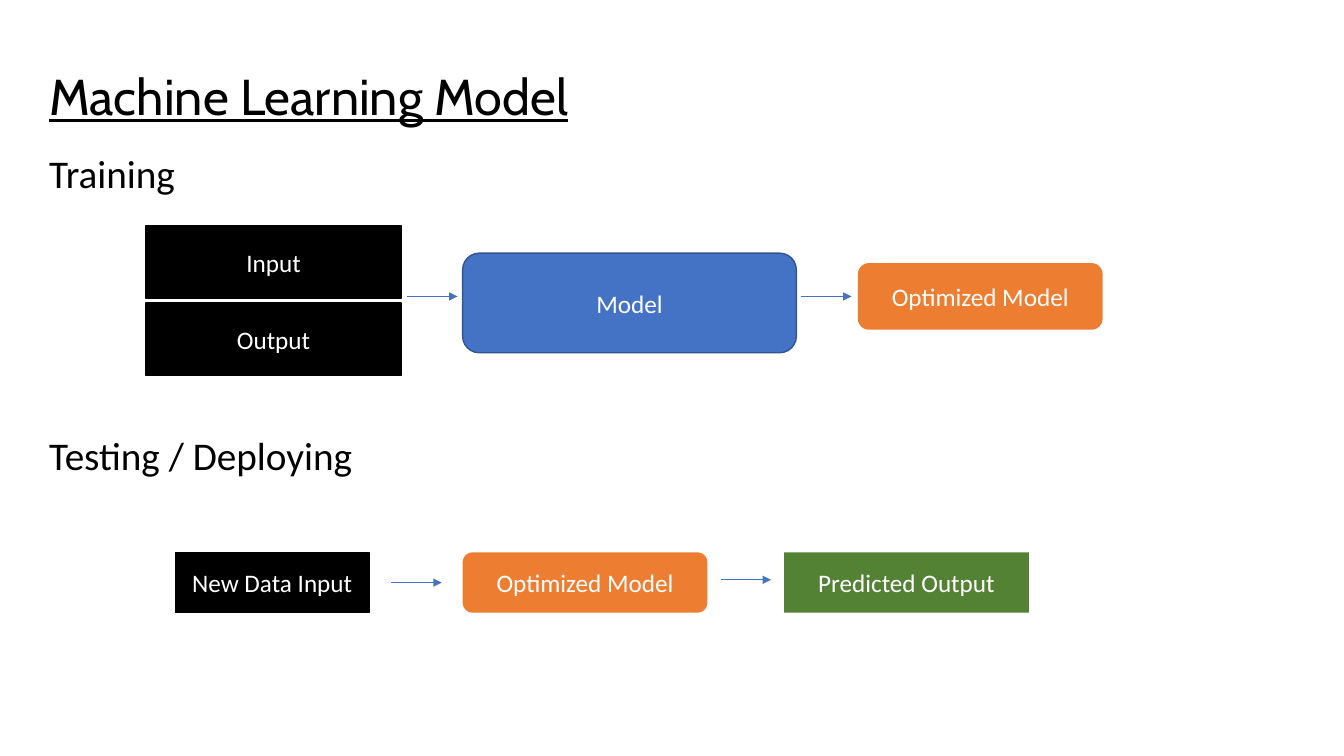
from dataclasses import dataclass

from lxml.etree import SubElement
from pptx import Presentation
from pptx.dml.color import RGBColor
from pptx.enum.shapes import MSO_CONNECTOR, MSO_SHAPE
from pptx.enum.text import MSO_ANCHOR, PP_ALIGN
from pptx.oxml.ns import qn
from pptx.util import Cm, Pt


@dataclass(frozen=True)
class Theme:
    black: str = "000000"
    white: str = "FFFFFF"
    blue: str = "4472C4"
    blue_edge: str = "325491"
    orange: str = "ED7D31"
    green: str = "548235"
    title_font: str = "Cabin"
    body_font: str = "Calibri"
    title_size: int = 36
    heading_size: int = 28
    label_size: int = 18


@dataclass(frozen=True)
class Box:
    left: float
    top: float
    width: float
    height: float

    def inside(self, left, top, width, height):
        return Box(self.left + left, self.top + top, width, height)

    def lengths(self):
        return Cm(self.left), Cm(self.top), Cm(self.width), Cm(self.height)


THEME = Theme()
ARROW_LENGTH = 1.27


def write_text(sp, text, *, size, font=THEME.body_font, color=THEME.black,
               align=PP_ALIGN.LEFT, anchor=MSO_ANCHOR.MIDDLE,
               underline=None, line_spacing=None):
    tf = sp.text_frame
    tf.word_wrap = True
    tf.vertical_anchor = anchor
    p = tf.paragraphs[0]
    p.alignment = align
    p.line_spacing = line_spacing
    r = p.add_run()
    r.text = text
    r.font.name = font
    r.font.size = Pt(size)
    r.font.underline = underline
    r.font.color.rgb = RGBColor.from_string(color)


def add_node(s, box, text, fill, edge=None, kind=MSO_SHAPE.RECTANGLE):
    sp = s.shapes.add_shape(kind, *box.lengths())
    sp.shadow.inherit = False
    sp.fill.solid()
    sp.fill.fore_color.rgb = RGBColor.from_string(fill)
    if edge:
        sp.line.color.rgb = RGBColor.from_string(edge)
        sp.line.width = Pt(1)
    else:
        sp.line.fill.background()
    write_text(sp, text, size=THEME.label_size, color=THEME.white,
               align=PP_ALIGN.CENTER)


def add_arrow(s, box, left, top):
    x, y = box.left + left, box.top + top
    arrow = s.shapes.add_connector(MSO_CONNECTOR.STRAIGHT, Cm(x), Cm(y),
                                   Cm(x + ARROW_LENGTH), Cm(y))
    arrow.line.color.rgb = RGBColor.from_string(THEME.blue)
    arrow.line.width = Pt(0.5)
    SubElement(arrow.line._get_or_add_ln(), qn("a:tailEnd"), type="triangle")
    SubElement(arrow._element.spPr, qn("a:effectLst"))


def add_title(s, box):
    sp = s.shapes.add_textbox(*box.lengths())
    write_text(sp, "Machine Learning Model", size=THEME.title_size,
               font=THEME.title_font, underline=True, line_spacing=0.9)


def add_heading(s, box, text):
    sp = s.shapes.add_textbox(*box.inside(0, 0, box.width, 1.4).lengths())
    write_text(sp, text, size=THEME.heading_size, anchor=MSO_ANCHOR.TOP,
               line_spacing=0.9)


def add_training(s, box):
    add_heading(s, box, "Training")
    add_node(s, box.inside(10.67, 2.6, 8.41, 2.51), "Model", THEME.blue,
             THEME.blue_edge, MSO_SHAPE.ROUNDED_RECTANGLE)
    for i, text in enumerate(("Input", "Output")):
        add_node(s, box.inside(2.69, 1.91 + i * 1.95, 6.43, 1.83), text,
                 THEME.black, THEME.black)
    add_node(s, box.inside(20.63, 2.85, 6.17, 1.68), "Optimized Model",
             THEME.orange, kind=MSO_SHAPE.ROUNDED_RECTANGLE)
    for left in (9.27, 19.2):
        add_arrow(s, box, left, 3.69)


def add_testing(s, box):
    add_heading(s, box, "Testing / Deploying")
    top, height = 3.05, 1.52
    add_node(s, box.inside(3.43, top, 4.88, height), "New Data Input",
             THEME.black, THEME.black)
    add_node(s, box.inside(10.67, top, 6.17, height), "Optimized Model",
             THEME.orange, kind=MSO_SHAPE.ROUNDED_RECTANGLE)
    add_node(s, box.inside(18.77, top, 6.17, height), "Predicted Output",
             THEME.green)
    add_arrow(s, box, 8.87, 3.81)
    add_arrow(s, box, 17.17, 3.74)


def main():
    prs = Presentation()
    prs.slide_width, prs.slide_height = Cm(33.87), Cm(19.05)
    s = prs.slides.add_slide(prs.slide_layouts[6])
    add_title(s, Box(0.99, 0.66, 31.83, 3.68))
    add_training(s, Box(0.99, 3.78, 31.9, 7.09))
    add_testing(s, Box(0.99, 10.87, 31.9, 7.16))
    prs.save("out.pptx")


if __name__ == "__main__":
    main()
